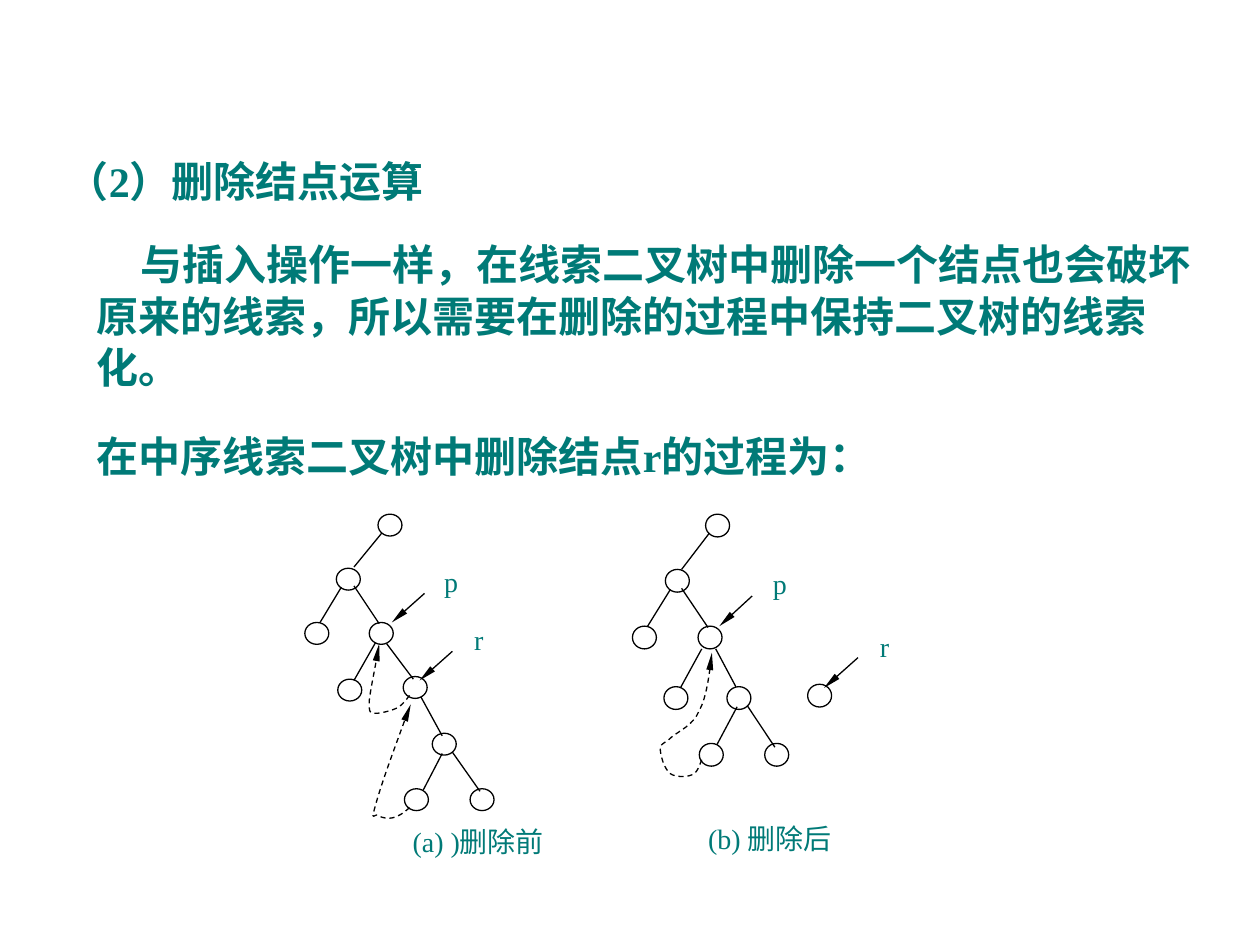
from dataclasses import dataclass
from pptx import Presentation
from pptx.dml.color import RGBColor
from pptx.enum.dml import MSO_LINE
from pptx.enum.shapes import MSO_CONNECTOR, MSO_SHAPE
from pptx.enum.text import MSO_ANCHOR, MSO_AUTO_SIZE, PP_ALIGN
from pptx.oxml.ns import qn
from pptx.util import Pt
from lxml.etree import SubElement


@dataclass(frozen=True)
class Theme:
    text: RGBColor = RGBColor(0x00, 0x7A, 0x77)
    ink: RGBColor = RGBColor(0, 0, 0)
    latin: str = "Times New Roman"
    cjk: str = "Noto Sans CJK SC"
    body: float = 24
    label: float = 16
    leading: float = 1.22
    line: float = 0.75


@dataclass(frozen=True)
class Tree:
    node_size: tuple
    nodes: list
    edges: list
    pointers: list
    threads: list
    labels: list


THEME = Theme()

BEFORE = Tree(
    node_size=(13.7, 12.5),
    nodes=[(216, 293.8), (192.2, 324.7), (174.2, 355.7), (211, 355.7), (193, 388.1),
           (230.4, 386.6), (247, 419), (231.1, 450.7), (268.6, 450.7)],
    edges=[(218.2, 304.6, 202.3, 324), (195.1, 335.5, 182.9, 355.7),
           (202.3, 334.8, 216.7, 356.4), (214.6, 367.2, 202.3, 388.8),
           (221, 367.9, 236.2, 388.1), (240.5, 398.2, 252.7, 420.5),
           (252.7, 430.6, 241.9, 451.4), (258.5, 429.8, 274.3, 452.2)],
    pointers=[(242.6, 339.1, 223.9, 355.7), (258.5, 372.2, 239.8, 388.8)],
    threads=[
        [(234, 397.4), (231.8, 400.3), (230.4, 402.5), (226.8, 404.6),
         (223.9, 406.1), (216, 408.2), (213.1, 407.5),
         (211, 406.8), (211, 406.8), (211, 400.3),
         (211.7, 393.8), (214.6, 380.9), (216.7, 367.9)],
        [(234, 461.5), (231.1, 464.4), (227.5, 466.6), (224.6, 467.3),
         (221.8, 468), (217.4, 467.3), (216, 465.8),
         (213.8, 465.1), (211.7, 470.2), (214.6, 460.1),
         (217.4, 449.3), (226.1, 425.5), (234.7, 402.5)]],
    labels=[("p", (229, 319, 57.6, 30.2)), ("r", (244.8, 352.1, 57.6, 30.2)),
            ("(a) )删除前", (218.2, 467.3, 110.2, 35.3))])

AFTER = Tree(
    node_size=(13.7, 13),
    nodes=[(403.2, 293.8), (380.2, 325.4), (361.4, 357.8), (398.9, 357.8), (379.4, 392.4),
           (415.4, 392.4), (399.6, 424.8), (437, 424.8), (461.5, 391)],
    edges=[(405.4, 304.6, 389.5, 325.4), (383, 337, 370.1, 357.8),
           (389.5, 336.2, 404.6, 358.6), (401, 370.8, 388.8, 393.1),
           (409, 370.8, 420.5, 392.4), (421.2, 403.9, 409.7, 425.5),
           (427, 403.2, 442.8, 427)],
    pointers=[(429.8, 340.6, 411.1, 357.8), (490.3, 375.8, 470.9, 393.1)],
    threads=[
        [(401, 434.2), (399.6, 437.8), (398.2, 442.1), (395.3, 442.8),
         (392.4, 444.2), (385.9, 444.2), (383, 442.1),
         (379.4, 439.2), (377.3, 431.3), (377.3, 427.7),
         (377.3, 424.8), (380.2, 424.8), (383.8, 421.2),
         (388.1, 417.6), (396, 414.7), (399.6, 406.1),
         (403.9, 398.2), (405.4, 385.2), (406.8, 373)]],
    labels=[("p", (416.9, 319.7, 57.6, 31)), ("r", (476.6, 355.7, 57.6, 31.7)),
            ("(b) 删除后", (380.9, 465.8, 118.1, 36.7))])


def write(sp, text, size=THEME.label, bold=False, align=PP_ALIGN.CENTER,
          font=THEME.latin, indent=0, top=3.6):
    tf = sp.text_frame
    tf.word_wrap = True
    tf.auto_size = MSO_AUTO_SIZE.NONE
    tf.vertical_anchor = MSO_ANCHOR.TOP
    tf.margin_left = tf.margin_right = Pt(7.2)
    tf.margin_top, tf.margin_bottom = Pt(top), Pt(3.6)
    p = tf.paragraphs[0]
    p.alignment = align
    p.space_before = Pt(0)
    p.line_spacing = Pt(round(size * THEME.leading, 1))
    pPr = p._p.get_or_add_pPr()
    pPr.set("marL", "0")
    pPr.set("indent", str(Pt(indent)))
    pPr.set("hangingPunct", "0")
    SubElement(pPr, qn("a:buNone"))
    r = p.add_run()
    r.text = text
    r.font.size, r.font.bold, r.font.name = Pt(size), bold, font
    r.font.color.rgb = THEME.text
    SubElement(r._r.get_or_add_rPr(), qn("a:ea"), typeface=THEME.cjk)


def place(sp, x, y, w, h):
    sp.left, sp.top, sp.width, sp.height = Pt(x), Pt(y), Pt(w), Pt(h)


def style_line(sp, arrow=False, dashed=False):
    sp.line.color.rgb = THEME.ink
    sp.line.width = Pt(THEME.line)
    if dashed:
        sp.line.dash_style = MSO_LINE.DASH
    if arrow:
        SubElement(sp.line._get_or_add_ln(), qn("a:tailEnd"),
                   type="triangle", w="sm", len="lg")


def add_node(shapes, x, y, size):
    sp = shapes.add_shape(MSO_SHAPE.OVAL, Pt(x), Pt(y), Pt(size[0]), Pt(size[1]))
    sp.shadow.inherit = False
    sp.fill.background()
    style_line(sp)


def add_line(shapes, ends, arrow=False):
    sp = shapes.add_connector(MSO_CONNECTOR.STRAIGHT, *map(Pt, ends))
    SubElement(sp._element.spPr, qn("a:effectLst"))
    style_line(sp, arrow)
    effects = sp._element.spPr.find(qn("a:effectLst"))
    sp._element.spPr.append(effects)


def bezier(points, t):
    weights = ((1 - t) ** 3, 3 * t * (1 - t) ** 2, 3 * t * t * (1 - t), t ** 3)
    return tuple(Pt(sum(k * pt[axis] for k, pt in zip(weights, points)))
                 for axis in (0, 1))


def add_thread(shapes, points, steps=8):
    curve = [bezier(points[i:i + 4], n / steps)
             for i in range(0, len(points) - 1, 3) for n in range(1, steps + 1)]
    builder = shapes.build_freeform(Pt(points[0][0]), Pt(points[0][1]))
    builder.add_line_segments(curve, close=False)
    sp = builder.convert_to_shape()
    sp.shadow.inherit = False
    sp.fill.background()
    style_line(sp, arrow=True, dashed=True)


def add_tree(s, tree):
    shapes = s.shapes.add_group_shape().shapes
    for x, y in tree.nodes:
        add_node(shapes, x, y, tree.node_size)
    for ends in tree.edges:
        add_line(shapes, ends)
    for ends in tree.pointers:
        add_line(shapes, ends, arrow=True)
    for points in tree.threads:
        add_thread(shapes, points)
    for text, box in tree.labels:
        write(shapes.add_textbox(*map(Pt, box)), text)


def main():
    prs = Presentation()
    prs.slide_width, prs.slide_height = Pt(720), Pt(540)
    s = prs.slides.add_slide(prs.slide_layouts[3])
    title, intro, lead = s.placeholders
    heading = dict(size=THEME.body, bold=True, align=PP_ALIGN.LEFT)
    place(title, 31, 82.8, 642.2, 36)
    write(title, "（2）删除结点运算", top=5.6, **heading)
    place(intro, 48.2, 126, 648, 98.6)
    write(intro, "与插入操作一样，在线索二叉树中删除一个结点也会破坏原来的线索，"
          "所以需要在删除的过程中保持二叉树的线索化。",
          font=THEME.cjk, indent=25, top=10, **heading)
    place(lead, 48.2, 239.8, 648, 36)
    write(lead, "在中序线索二叉树中删除结点r的过程为：", top=5.6, **heading)
    for tree in (AFTER, BEFORE):
        add_tree(s, tree)
    prs.save("out.pptx")


if __name__ == "__main__":
    main()
